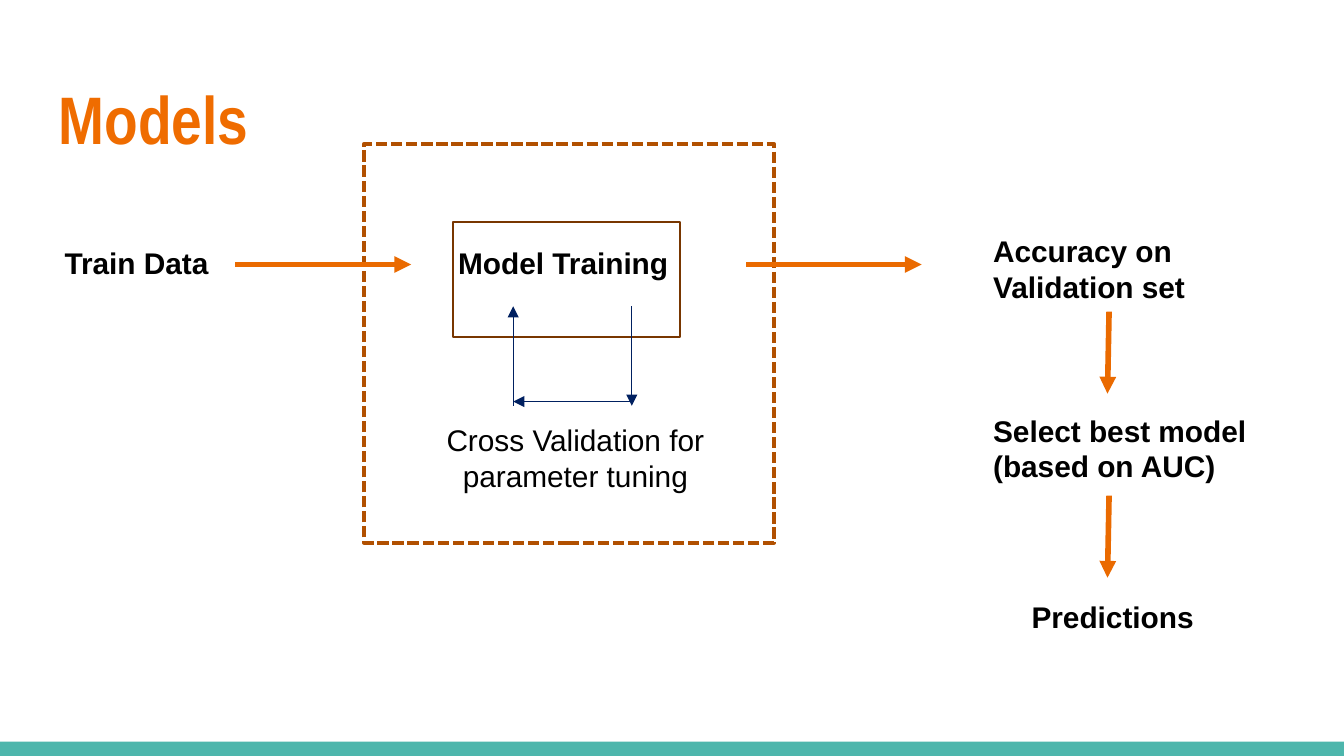
from dataclasses import dataclass
from lxml import etree
from pptx import Presentation
from pptx.dml.color import RGBColor
from pptx.enum.dml import MSO_LINE
from pptx.enum.shapes import MSO_CONNECTOR, MSO_SHAPE
from pptx.enum.text import MSO_ANCHOR, PP_ALIGN
from pptx.oxml.ns import qn
from pptx.util import Cm, Pt

STRAIGHT = MSO_CONNECTOR.STRAIGHT
RECTANGLE = MSO_SHAPE.RECTANGLE
DASHED = MSO_LINE.SQUARE_DOT
LEFT, CENTER = PP_ALIGN.LEFT, PP_ALIGN.CENTER
TOP, MIDDLE = MSO_ANCHOR.TOP, MSO_ANCHOR.MIDDLE


@dataclass(frozen=True)
class Theme:
    heading: str = "EF6C00"
    body: str = "000000"
    flow: str = "EA6A00"
    loop: str = "002060"
    box: str = "783600"
    frame: str = "B15000"
    band: str = "4DB6AC"
    heading_font: str = "Arial Narrow"
    body_font: str = "Arial"
    heading_size: int = 36
    body_size: int = 16
    flow_width: float = 3
    loop_width: float = 0.75


THEME = Theme()
SLIDE_WIDTH, SLIDE_HEIGHT = 25.4, 14.29
BAND_HEIGHT = 0.27
ONE_LINE, TWO_LINES = 0.94, 1.63

HEADING = ("Models", 0.86, 1.24, 23.67, 1.96)
STEPS = [
    ("Train Data", 0.97, 4.5, 3.33, ONE_LINE, True, LEFT),
    ("Model Training", 8.41, 4.5, 4.83, ONE_LINE, True, LEFT),
    ("Accuracy on Validation set", 18.52, 4.27, 4.83, TWO_LINES, True, LEFT),
    ("Cross Validation for parameter tuning", 8.03, 7.85, 5.69, TWO_LINES, False, CENTER),
    ("Select best model (based on AUC)", 18.52, 7.67, 5.44, TWO_LINES, True, LEFT),
    ("Predictions", 18.31, 11.2, 5.44, ONE_LINE, True, CENTER),
]
TRAINING_BOX = (8.56, 4.19, 4.29, 2.18)
TUNING_FRAME = (6.88, 2.72, 7.75, 7.54)

FLOW_Y, FLOW_LENGTH, FLOW_STARTS = 5.0, 3.32, (4.45, 14.1)
RESULT_X, RESULT_LENGTH, RESULT_STARTS = 20.96, 1.55, (5.89, 9.37)
RESULT_LEAN = 0.03
LOOP_LEFT, LOOP_RIGHT, LOOP_TOP, LOOP_BOTTOM = 9.7, 11.94, 5.79, 7.67
LOOP_RETURN_Y = 7.59

prs = Presentation()
prs.slide_width, prs.slide_height = Cm(SLIDE_WIDTH), Cm(SLIDE_HEIGHT)
slide = prs.slides.add_slide(prs.slide_layouts[6])


def add_label(text, left, top, width, height, bold, align, font, size, color, anchor=TOP):
    label = slide.shapes.add_textbox(Cm(left), Cm(top), Cm(width), Cm(height))
    frame = label.text_frame
    frame.word_wrap = True
    frame.vertical_anchor = anchor
    frame.text = text
    paragraph = frame.paragraphs[0]
    paragraph.alignment = align
    style = paragraph.runs[0].font
    style.name, style.size, style.bold = font, Pt(size), bold
    style.color.rgb = RGBColor.from_string(color)


def add_rectangle(left, top, width, height, fill=None, line=None, weight=1, dash=None):
    rectangle = slide.shapes.add_shape(RECTANGLE, Cm(left), Cm(top), Cm(width), Cm(height))
    rectangle.shadow.inherit = False
    if fill:
        rectangle.fill.solid()
        rectangle.fill.fore_color.rgb = RGBColor.from_string(fill)
    else:
        rectangle.fill.background()
    if line:
        rectangle.line.color.rgb = RGBColor.from_string(line)
        rectangle.line.width = Pt(weight)
        if dash:
            rectangle.line.dash_style = dash
    else:
        rectangle.line.fill.background()


def add_arrow(x1, y1, x2, y2, color, weight):
    arrow = slide.shapes.add_connector(STRAIGHT, Cm(x1), Cm(y1), Cm(x2), Cm(y2))
    arrow.line.color.rgb = RGBColor.from_string(color)
    arrow.line.width = Pt(weight)
    etree.SubElement(arrow.line._get_or_add_ln(), qn("a:tailEnd"), type="triangle")
    etree.SubElement(arrow._element.spPr, qn("a:effectLst"))


add_rectangle(0, SLIDE_HEIGHT - BAND_HEIGHT, SLIDE_WIDTH, BAND_HEIGHT, fill=THEME.band)
add_label(*HEADING, True, LEFT, THEME.heading_font, THEME.heading_size, THEME.heading, MIDDLE)
for step in STEPS:
    add_label(*step, THEME.body_font, THEME.body_size, THEME.body)

add_rectangle(*TRAINING_BOX, line=THEME.box)
add_rectangle(*TUNING_FRAME, line=THEME.frame, weight=2, dash=DASHED)

flow_arrows = [(x, FLOW_Y, x + FLOW_LENGTH, FLOW_Y) for x in FLOW_STARTS]
flow_arrows += [(RESULT_X, y, RESULT_X - RESULT_LEAN, y + RESULT_LENGTH) for y in RESULT_STARTS]
loop_arrows = [
    (LOOP_RIGHT, LOOP_TOP, LOOP_RIGHT, LOOP_BOTTOM),
    (LOOP_RIGHT, LOOP_RETURN_Y, LOOP_LEFT, LOOP_RETURN_Y),
    (LOOP_LEFT, LOOP_BOTTOM, LOOP_LEFT, LOOP_TOP),
]
for ends in flow_arrows:
    add_arrow(*ends, THEME.flow, THEME.flow_width)
for ends in loop_arrows:
    add_arrow(*ends, THEME.loop, THEME.loop_width)

prs.save("out.pptx")
